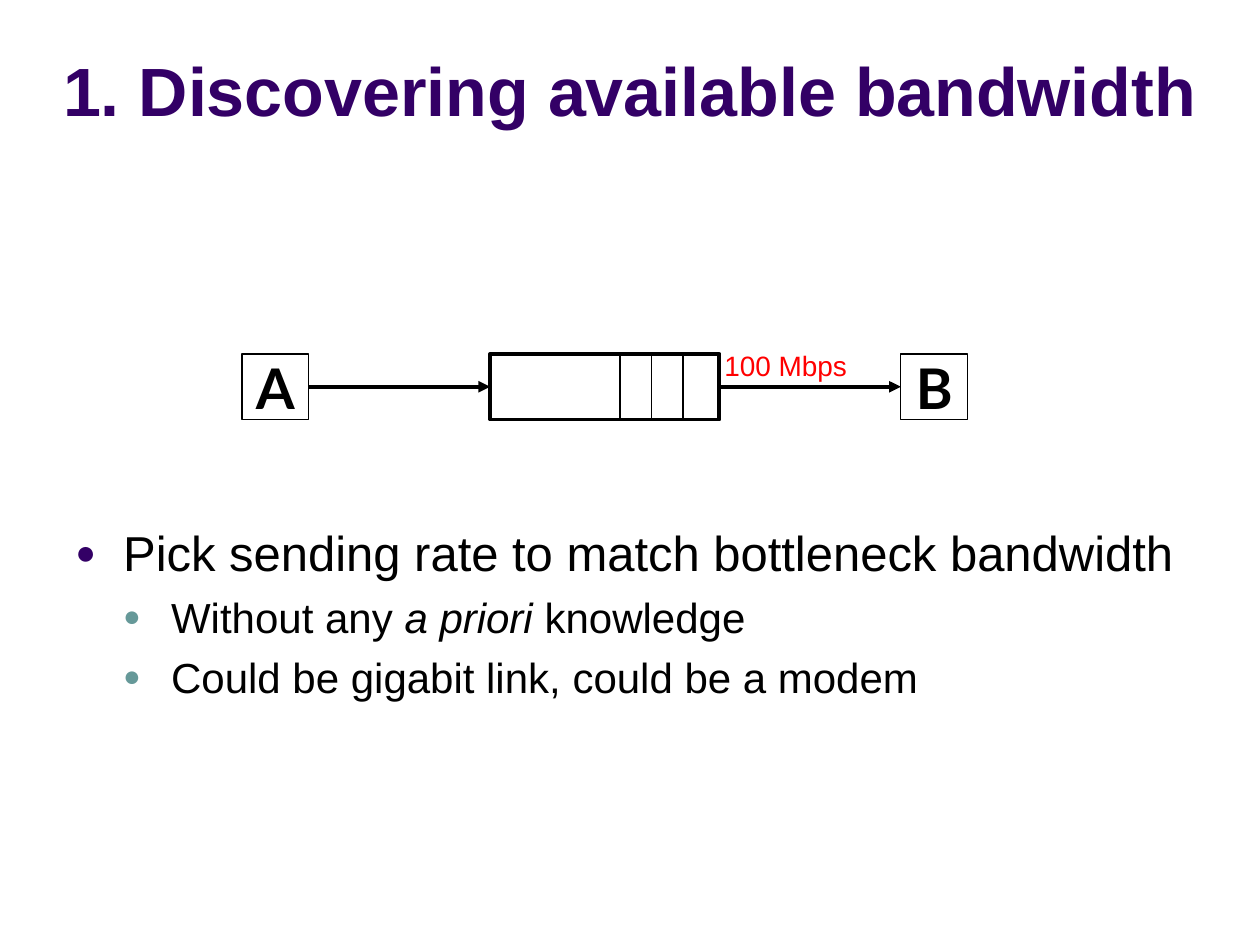
import pptx
import pptx.dml.color
import pptx.enum.shapes
import pptx.enum.text
import pptx.oxml
import pptx.oxml.ns
import pptx.util
import lxml.etree

Inches, Pt = pptx.util.Inches, pptx.util.Pt
qn = pptx.oxml.ns.qn
COLORS = {name: pptx.dml.color.RGBColor.from_string(value) for name, value in {
    "purple": "330066", "teal": "669999", "black": "000000",
    "white": "FFFFFF", "red": "FF0000"}.items()}

presentation = pptx.Presentation()
presentation.slide_width, presentation.slide_height = Inches(10), Inches(7.5)
slide = presentation.slides.add_slide(presentation.slide_layouts[5])
shapes = slide.shapes


def style_font(font, name, size, color, bold=False):
    font.name, font.size, font.bold = name, Pt(size), bold
    font.color.rgb = COLORS[color]


def add_line(start, end, width, arrow=False):
    """Draw a black, shadowless line between two (x, y) points in inches."""
    line = shapes.add_connector(pptx.enum.shapes.MSO_CONNECTOR.STRAIGHT,
                                *map(Inches, start + end))
    line.line.color.rgb = COLORS["black"]
    line.line.width = Pt(width)
    if arrow:
        lxml.etree.SubElement(line.line._get_or_add_ln(), qn("a:tailEnd"), type="triangle")
    lxml.etree.SubElement(line._element.spPr, qn("a:effectLst"))
    return line


# Title
title = shapes.title
title.left, title.top, title.width, title.height = map(Inches, (0, 0.13, 10, 0.95))
title.text_frame.text = "1. Discovering available bandwidth"
title.text_frame.vertical_anchor = pptx.enum.text.MSO_ANCHOR.BOTTOM
title.text_frame.auto_size = pptx.enum.text.MSO_AUTO_SIZE.NONE
paragraph = title.text_frame.paragraphs[0]
paragraph.alignment = pptx.enum.text.PP_ALIGN.CENTER
style_font(paragraph.font, "Arial", 39, "purple", bold=True)

# Sender, queue and receiver in one row
row_top, row_height, gap = 2.81, 0.52, 1.44
row_middle = row_top + row_height / 2
left = 1.92
nodes = []
for label, width, outline in (("A", 0.53, 0.75), ("", 1.82, 2.25), ("B", 0.53, 0.75)):
    node = shapes.add_shape(pptx.enum.shapes.MSO_SHAPE.RECTANGLE,
                            *map(Inches, (left, row_top, width, row_height)))
    node.shadow.inherit = False
    node.fill.solid()
    node.fill.fore_color.rgb = COLORS["white"]
    node.line.color.rgb = COLORS["black"]
    node.line.width = Pt(outline)
    if label:
        frame = node.text_frame
        frame.text = label
        frame.word_wrap = False
        frame.vertical_anchor = pptx.enum.text.MSO_ANCHOR.MIDDLE
        frame.margin_left = frame.margin_right = Inches(0.06)
        frame.margin_top = frame.margin_bottom = Inches(0.03)
        frame.paragraphs[0].alignment = pptx.enum.text.PP_ALIGN.CENTER
        style_font(frame.paragraphs[0].font, "Lato", 32, "black", bold=True)
    nodes.append(node)
    left += width + gap

for source, target in zip(nodes, nodes[1:]):
    link = add_line((0, row_middle), (1, row_middle), 2.25, arrow=True)
    link.begin_connect(source, 3)
    link.end_connect(target, 1)

# Packets waiting in the queue
for slot in range(3):
    x = 4.92 + 0.25 * slot
    add_line((x, row_top), (x, row_top + row_height), 1)

# Link speed
speed = shapes.add_textbox(*map(Inches, (5.65, 2.72, 1.19, 0.37)))
speed.text_frame.word_wrap = False
speed.text_frame.text = "100 Mbps"
style_font(speed.text_frame.paragraphs[0].font, "Arial", 16, "red")

# Bullets: level, size, bullet colour, (text, italic) runs
bullets = (
    (0, 28, "purple", (("Pick sending rate to match bottleneck bandwidth", False),)),
    (1, 24, "teal", (("Without any ", False), ("a priori", True), (" knowledge", False))),
    (1, 24, "teal", (("Could be gigabit link, could be a modem", False),)),
)
indent = Inches(0.38)
body = shapes.add_textbox(*map(Inches, (0.5, 4.1, 9.33, 2.61))).text_frame
body.word_wrap = True
for index, (level, size, bullet_color, runs) in enumerate(bullets):
    paragraph = body.add_paragraph() if index else body.paragraphs[0]
    paragraph.level = level
    paragraph.space_before = Pt(size * 0.23)
    style_font(paragraph.font, "Arial", size, "black")
    for text, italic in runs:
        run = paragraph.add_run()
        run.text = text
        if italic:
            run.font.italic = True
    properties = paragraph._p.get_or_add_pPr()
    properties.set("marL", str(indent * (level + 1)))
    properties.set("indent", str(-indent))
    marks = pptx.oxml.parse_xml(
        f'<a:pPr {pptx.oxml.ns.nsdecls("a")}>'
        f'<a:buClr><a:srgbClr val="{COLORS[bullet_color]}"/></a:buClr>'
        '<a:buSzPct val="70000"/><a:buFont typeface="Arial"/><a:buChar char="●"/></a:pPr>')
    defaults = properties.find(qn("a:defRPr"))
    for mark in list(marks):
        defaults.addprevious(mark)

presentation.save("out.pptx")
